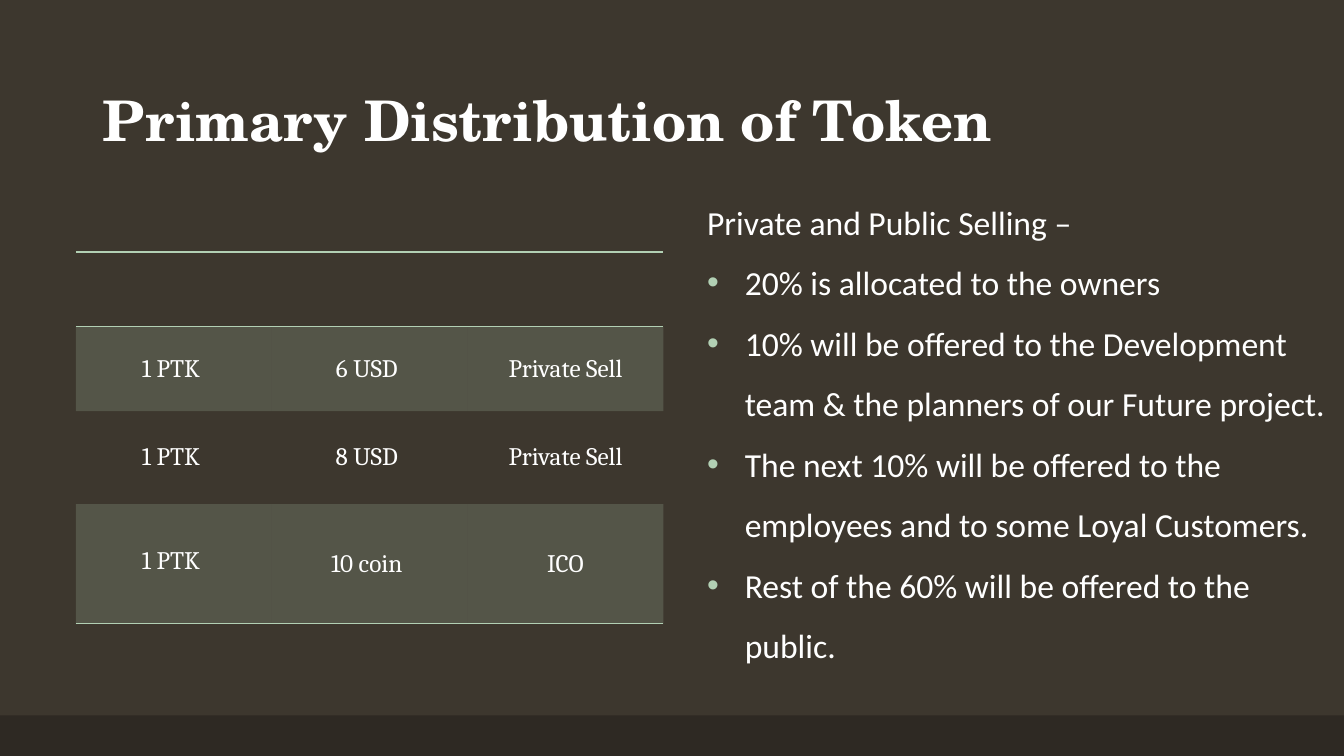
from lxml import etree
from pptx import Presentation
from pptx.dml.color import RGBColor
from pptx.enum.shapes import MSO_SHAPE
from pptx.enum.text import MSO_ANCHOR, PP_ALIGN
from pptx.oxml.ns import qn
from pptx.util import Cm, Pt

RECTANGLE = MSO_SHAPE.RECTANGLE
MIDDLE, BOTTOM = MSO_ANCHOR.MIDDLE, MSO_ANCHOR.BOTTOM
CENTER = PP_ALIGN.CENTER

WHITE, MINT = "FFFFFF", "B2D0B4"
BACKDROP, FOOTER = "3D372E", "2E2923"
NO_STYLE = "{2D5ABB26-0587-4C30-8999-92F81FD0307C}"

PRICES = [
    ("", "", ""),
    ("1 PTK ", "6 USD ", "Private Sell"),
    ("1 PTK ", "8 USD ", "Private Sell"),
    ("1 PTK ", "10 coin ", "ICO"),
]
ROW_HEIGHTS = [1.88, 2.13, 2.34, 3.02]
ALLOCATIONS = [
    "20% is allocated to the owners",
    "10% will be offered to the Development team & the planners of our Future project.",
    "The next 10% will be offered to the employees and to some Loyal Customers.",
    "Rest of the 60% will be offered to the public.",
]


def color(hex_code):
    return RGBColor.from_string(hex_code)


def set_font(paragraph, name, size, bold=False):
    font = paragraph.font
    font.name, font.size, font.bold = name, Pt(size), bold
    font.color.rgb = color(WHITE)


def add_frame(slide, left, top, width, height):
    frame = slide.shapes.add_textbox(Cm(left), Cm(top), Cm(width), Cm(height)).text_frame
    frame.word_wrap = True
    return frame


def add_footer_bar(slide, left, top, width, height):
    bar = slide.shapes.add_shape(RECTANGLE, Cm(left), Cm(top), Cm(width), Cm(height))
    bar.shadow.inherit = False
    bar.fill.solid()
    bar.fill.fore_color.rgb = color(FOOTER)
    bar.line.fill.background()


def add_title(slide, left, top, width, height):
    frame = add_frame(slide, left, top, width, height)
    frame.vertical_anchor = BOTTOM
    heading = frame.paragraphs[0]
    heading.text = "Primary Distribution of Token"
    heading.line_spacing = 0.9
    set_font(heading, "TeX Gyre Schola", 40, bold=True)


def set_indent(paragraph, margin, hanging=0):
    properties = paragraph._p.get_or_add_pPr()
    properties.set("marL", str(Cm(margin)))
    properties.set("indent", str(-Cm(hanging)))
    return properties


def add_bullet(paragraph):
    properties = set_indent(paragraph, 1.59, 0.95)
    bullet_color = etree.SubElement(properties, qn("a:buClr"))
    etree.SubElement(bullet_color, qn("a:srgbClr"), val=MINT)
    etree.SubElement(properties, qn("a:buFont"), typeface="Arial")
    etree.SubElement(properties, qn("a:buChar"), char="•")


def add_allocations(slide, left, top, width, height):
    frame = add_frame(slide, left, top, width, height)
    intro = frame.paragraphs[0]
    intro.text = "Private and Public Selling –"
    set_indent(intro, 0.64)
    for allocation in ALLOCATIONS:
        item = frame.add_paragraph()
        item.text = allocation
        add_bullet(item)
    for paragraph in frame.paragraphs:
        paragraph.line_spacing = 1.5
        set_font(paragraph, "Calibri", 24)


def set_borders(cell, visible):
    properties = cell._tc.get_or_add_tcPr()
    for index, side in enumerate("LRTB"):
        border = etree.Element(qn(f"a:ln{side}"), w=str(Pt(1)))
        if side in visible:
            fill = etree.SubElement(border, qn("a:solidFill"))
            etree.SubElement(fill, qn("a:srgbClr"), val=MINT)
        else:
            etree.SubElement(border, qn("a:noFill"))
        properties.insert(index, border)


def fill_cell(cell, tinted):
    if not tinted:
        cell.fill.background()
        return
    cell.fill.solid()
    cell.fill.fore_color.rgb = color(MINT)
    tint = cell._tc.tcPr.find(".//" + qn("a:srgbClr"))
    etree.SubElement(tint, qn("a:alpha"), val="20000")


def add_prices(slide, left, top, width):
    last = len(PRICES) - 1
    table = slide.shapes.add_table(
        len(PRICES), len(PRICES[0]), Cm(left), Cm(top), Cm(width), Cm(sum(ROW_HEIGHTS))
    ).table
    table.first_row = table.horz_banding = False
    table._tbl.tblPr.find(qn("a:tableStyleId")).text = NO_STYLE
    for row_index, prices in enumerate(PRICES):
        table.rows[row_index].height = Cm(ROW_HEIGHTS[row_index])
        visible = ("T" if row_index < 2 else "") + ("B" if row_index in (0, last) else "")
        for column_index, price in enumerate(prices):
            cell = table.cell(row_index, column_index)
            cell.text = price
            cell.vertical_anchor = MIDDLE
            entry = cell.text_frame.paragraphs[0]
            entry.alignment = CENTER
            set_font(entry, "Cambria", 18)
            fill_cell(cell, tinted=row_index % 2 == 1)
            set_borders(cell, visible)
    table.cell(last, 0).margin_bottom = Cm(0.28)


def main():
    deck = Presentation()
    deck.slide_width, deck.slide_height = Cm(33.87), Cm(19.05)
    slide = deck.slides.add_slide(deck.slide_layouts[6])
    slide.background.fill.solid()
    slide.background.fill.fore_color.rgb = color(BACKDROP)
    add_footer_bar(slide, 0, 18.03, 33.87, 1.02)
    add_title(slide, 2.34, 1.03, 29.21, 2.97)
    add_allocations(slide, 16.93, 4.45, 16.93, 14.18)
    add_prices(slide, 1.91, 6.35, 14.81)
    deck.save("out.pptx")


if __name__ == "__main__":
    main()
